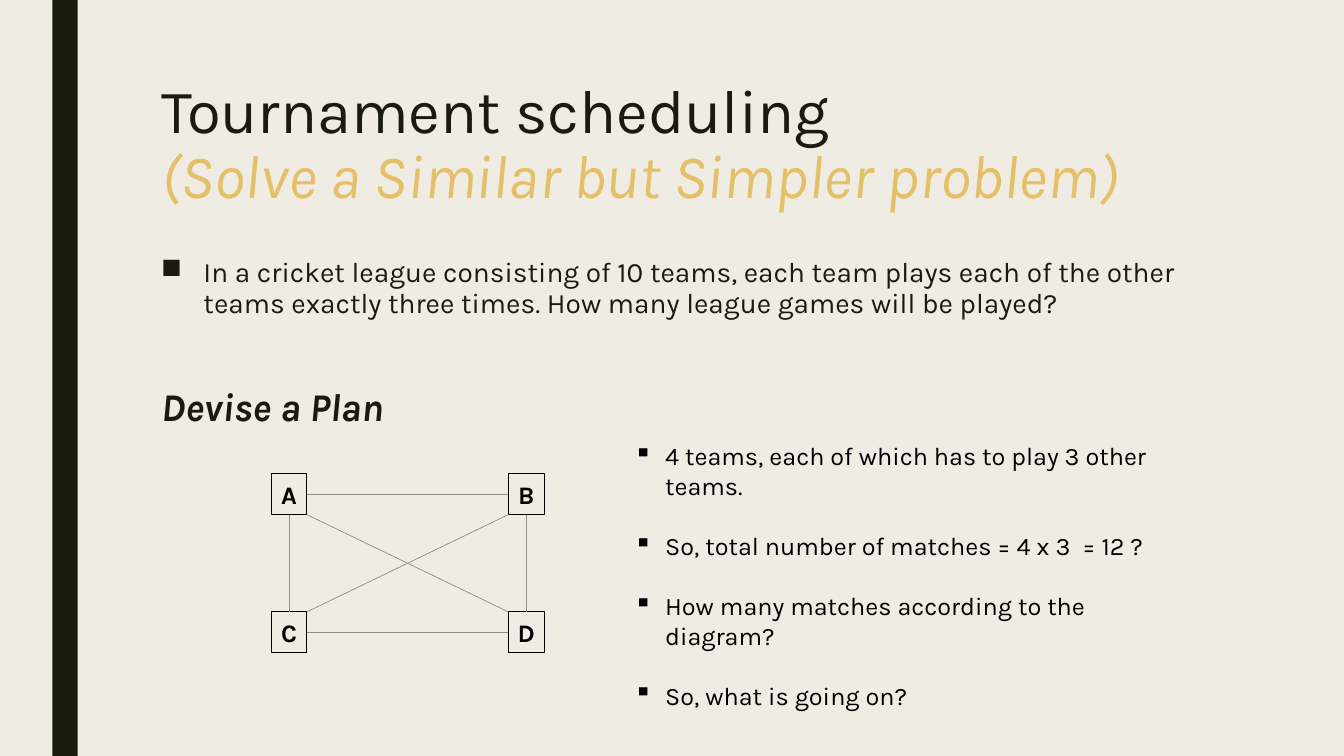
"""Build the tournament scheduling slide, with lengths in percent of the slide's size."""
from dataclasses import dataclass

from lxml.etree import SubElement
from pptx import Presentation
from pptx.dml.color import RGBColor as Rgb
from pptx.enum.shapes import MSO_CONNECTOR as Link, MSO_SHAPE as Kind
from pptx.enum.text import MSO_ANCHOR as Anchor, PP_ALIGN as Align
from pptx.oxml.ns import qn
from pptx.util import Inches, Pt

WIDE, HIGH = Inches(13.33), Inches(7.5)
FONT = "Karla"
HUES = {"paper": "EFEDE3", "dark": "191B0E", "gold": "E6C069",
        "black": "000000", "grey": "8C8D86"}


@dataclass(frozen=True)
class Area:
    x: float
    y: float
    w: float
    h: float

    def place(self) -> tuple[int, int, int, int]:
        return across(self.x), down(self.y), across(self.w), down(self.h)


@dataclass(frozen=True)
class Team:
    name: str
    col: int
    row: int


@dataclass(frozen=True)
class Match:
    home: str
    away: str
    start: int
    end: int


BAR = Area(3.9, 0, 1.88, 100)
TITLE = Area(11.25, 10, 78.75, 21.6)
BODY = Area(11.25, 33.33, 78.75, 52.27)
NOTES = Area(46.43, 57.6, 43.35, 29.6)
FIRST = Area(20.18, 62.67, 2.65, 5.4)
STEP_X, STEP_Y = 17.65, 18.27

TEAMS = [Team("A", 0, 0), Team("B", 1, 0), Team("C", 0, 1), Team("D", 1, 1)]
SIDES = [Match("A", "B", 3, 1), Match("C", "D", 3, 1),
         Match("A", "C", 2, 0), Match("B", "D", 2, 0)]
POINTS = ["4 teams, each of which has to play 3 other teams.",
          "So, total number of matches = 4 x 3  = 12 ?",
          "How many matches according to the diagram?",
          "So, what is going on?"]


def across(share: float) -> int:
    return round(WIDE * share / 100)


def down(share: float) -> int:
    return round(HIGH * share / 100)


def hue(name: str) -> Rgb:
    return Rgb.from_string(HUES[name])


def write(frame, words: str, *, size: float, color: str = "black", bold: bool = False,
          italic: bool = False, bullet: str = "", indent: float = 0, line: float = 1,
          before: float = 0, after: float = 0, align=Align.LEFT, joined: bool = False) -> None:
    para = frame.paragraphs[-1]
    if joined:
        para.add_line_break()
    elif para.runs:
        para = frame.add_paragraph()
    para.alignment, para.line_spacing = align, line
    para.space_before, para.space_after = Pt(before), Pt(after)
    if bullet:
        props = para._p.get_or_add_pPr()
        props.set("marL", str(Inches(indent)))
        props.set("indent", str(-Inches(indent)))
        SubElement(props, qn("a:buChar")).set("char", bullet)
    run = para.add_run()
    run.text = words
    font = run.font
    font.name, font.size, font.bold, font.italic = FONT, Pt(size), bold, italic
    font.color.rgb = hue(color)


def frame_at(slide, area: Area):
    frame = slide.shapes.add_textbox(*area.place()).text_frame
    frame.word_wrap = True
    return frame


def draw_team(slide, team: Team):
    area = Area(FIRST.x + team.col * STEP_X, FIRST.y + team.row * STEP_Y, FIRST.w, FIRST.h)
    box = slide.shapes.add_shape(Kind.RECTANGLE, *area.place())
    box.shadow.inherit = False
    box.fill.background()
    box.line.color.rgb, box.line.width = hue("black"), Pt(0.75)
    frame = box.text_frame
    frame.word_wrap, frame.vertical_anchor = False, Anchor.MIDDLE
    write(frame, team.name, size=18, bold=True, align=Align.CENTER)
    return box


def draw_line(slide, x1: int = 0, y1: int = 0, x2: int = 0, y2: int = 0):
    line = slide.shapes.add_connector(Link.STRAIGHT, x1, y1, x2, y2)
    line.line.color.rgb, line.line.width = hue("grey"), Pt(0.5)
    SubElement(line._element.spPr, qn("a:effectLst"))
    return line


def draw_plan(slide) -> None:
    boxes = {team.name: draw_team(slide, team) for team in TEAMS}
    for match in SIDES:
        line = draw_line(slide)
        line.begin_connect(boxes[match.home], match.start)
        line.end_connect(boxes[match.away], match.end)
    left, right = across(FIRST.x + FIRST.w), across(FIRST.x + STEP_X)
    top, base = down(FIRST.y + FIRST.h), down(FIRST.y + STEP_Y)
    draw_line(slide, left, base, right, top)
    draw_line(slide, left, top, right, base)


def main() -> None:
    deck = Presentation()
    deck.slide_width, deck.slide_height = WIDE, HIGH
    slide = deck.slides.add_slide(deck.slide_layouts[6])
    back = slide.background.fill
    back.solid()
    back.fore_color.rgb = hue("paper")

    bar = slide.shapes.add_shape(Kind.RECTANGLE, *BAR.place())
    bar.shadow.inherit = False
    bar.fill.solid()
    bar.fill.fore_color.rgb = hue("dark")
    bar.line.fill.background()

    title = frame_at(slide, TITLE)
    write(title, "Tournament scheduling", size=44, color="dark", line=0.89)
    write(title, "(Solve a Similar but Simpler problem)", size=44, color="gold",
          italic=True, line=0.89, joined=True)

    body = frame_at(slide, BODY)
    write(body, "In a cricket league consisting of 10 teams, each team plays each of the "
          "other teams exactly three times. How many league games will be played?",
          size=20, color="dark", bullet="■", indent=0.42, line=0.94, before=10, after=2)
    write(body, "Devise a Plan", size=28, color="dark", bold=True, italic=True,
          line=0.94, before=45, after=2)

    draw_plan(slide)

    notes = frame_at(slide, NOTES)
    for rank, point in enumerate(POINTS):
        write(notes, point, size=18, bullet="▪", indent=0.31, before=21 if rank else 0)
    deck.save("out.pptx")


if __name__ == "__main__":
    main()
